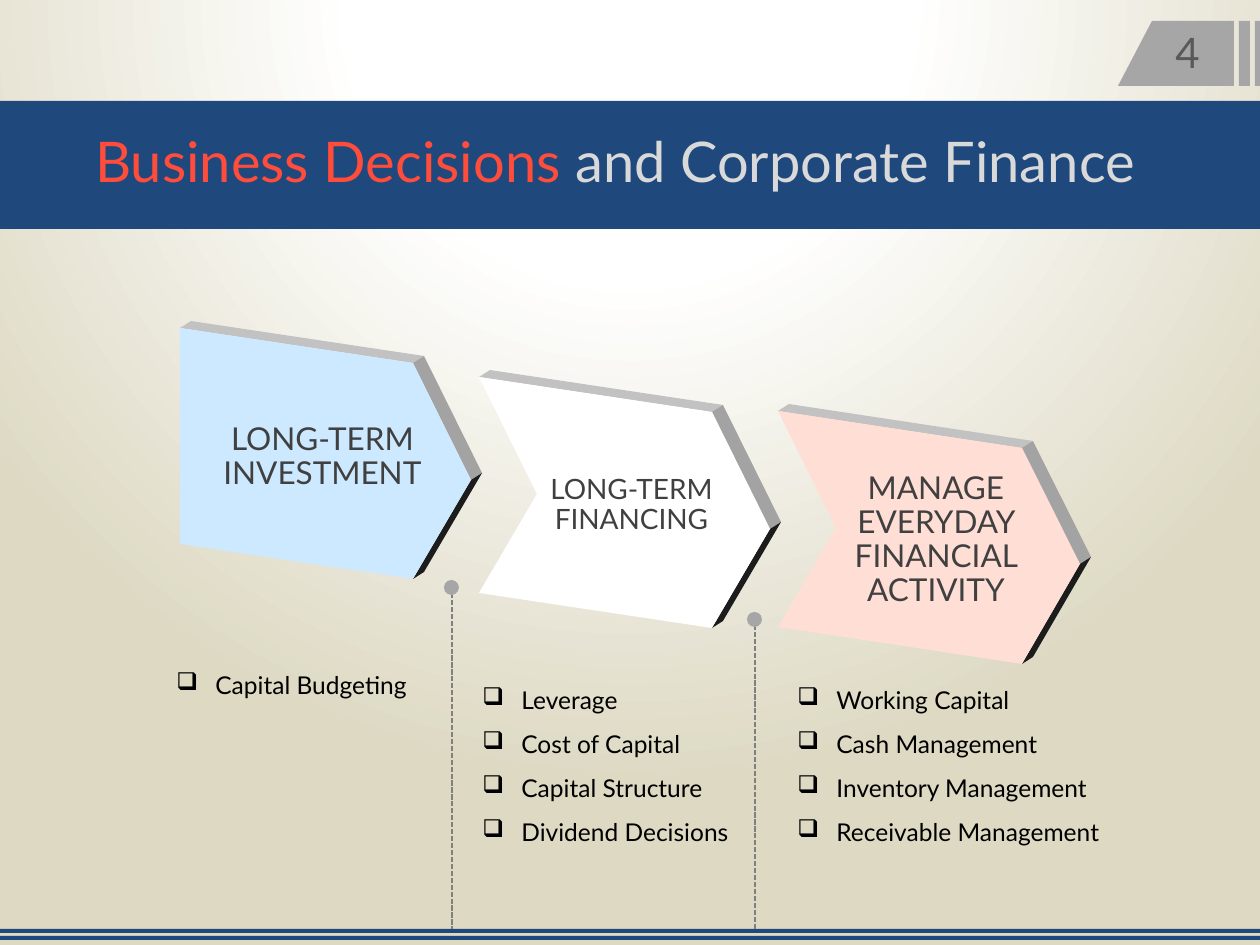
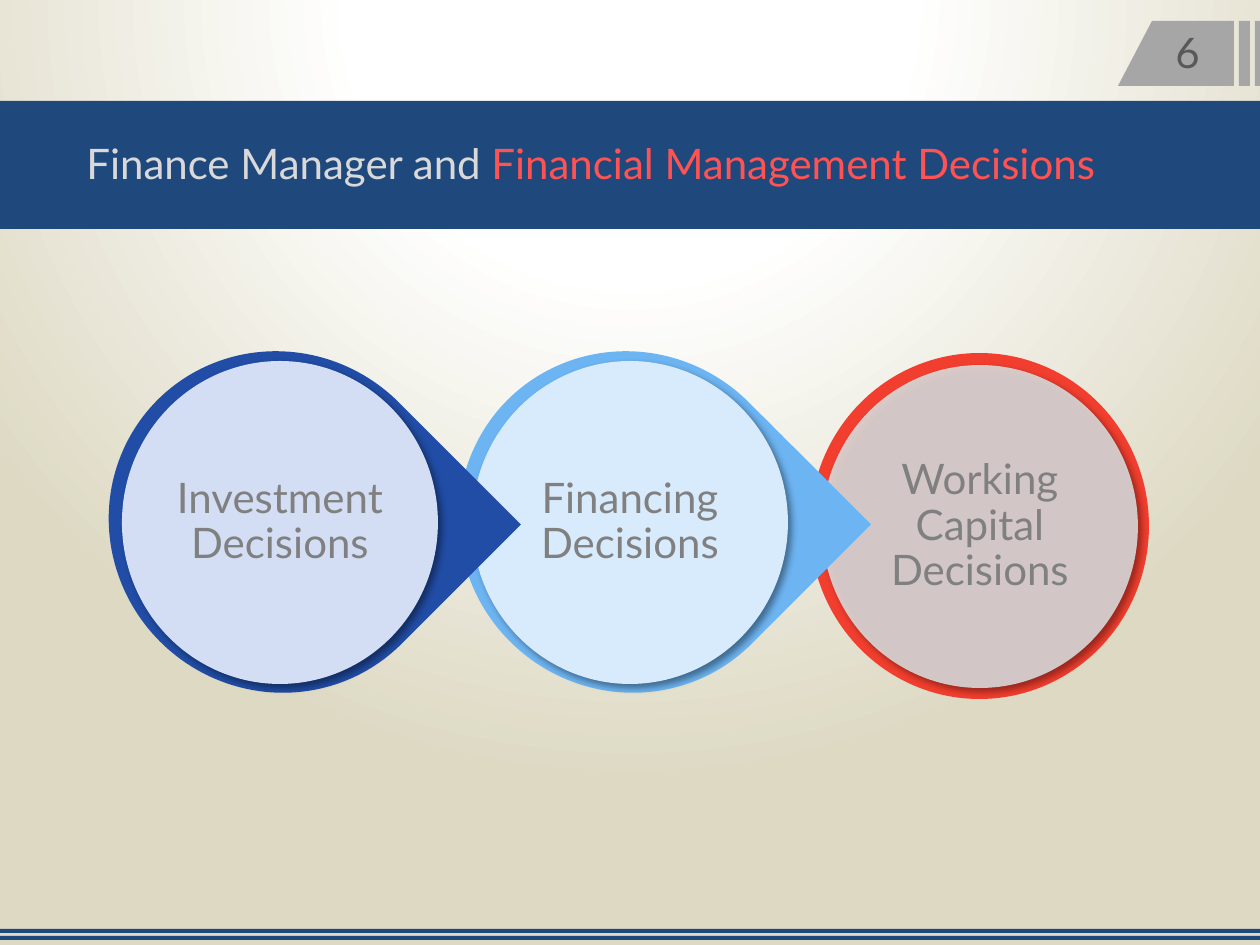
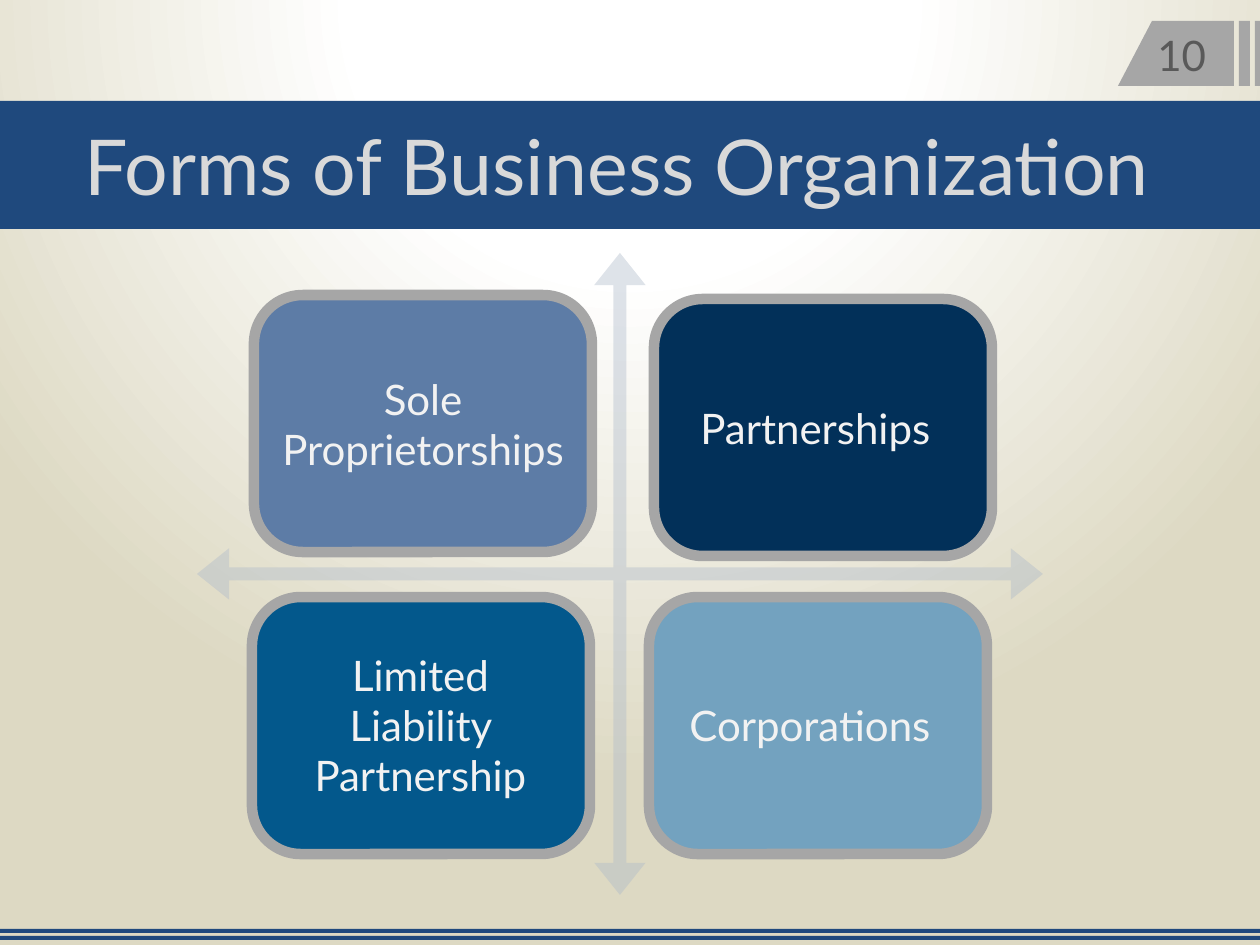
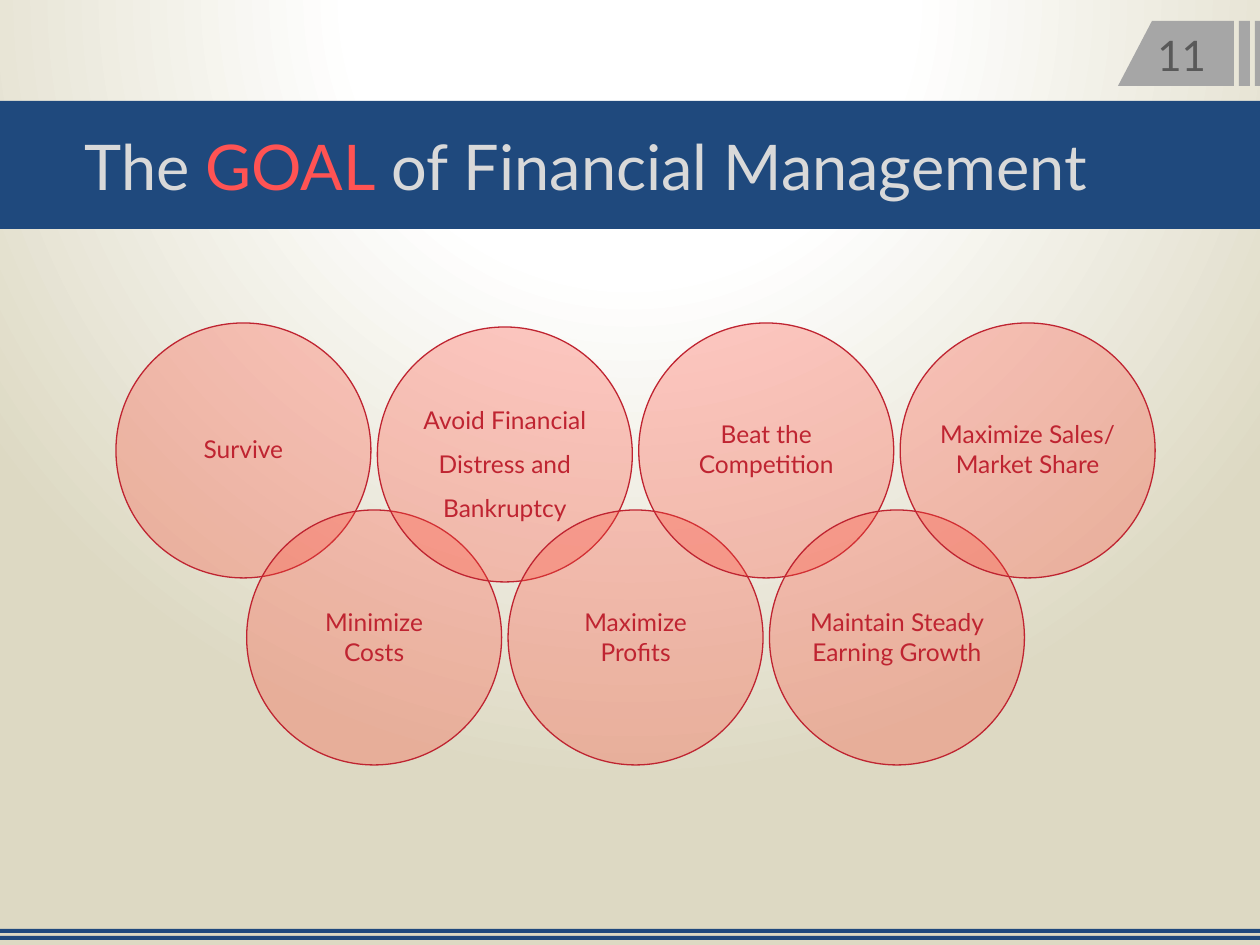
from lxml import etree
from pptx import Presentation
from pptx import util as u
from pptx.dml.color import RGBColor
from pptx.enum import dml, shapes, text
from pptx.oxml import parse_xml
from pptx.oxml.ns import qn

SCALE = 914400 / 126  # EMU in one px
FONT = "Lato"
NS = 'xmlns:a="http://schemas.openxmlformats.org/drawingml/2006/main"'
KIND = shapes.MSO_SHAPE
LEFT, MID = text.PP_ALIGN.LEFT, text.PP_ALIGN.CENTER

INK = {
    "navy": "1F497D", "grey": "A6A6A6", "pale": "D9D9D9", "sand": "DDD9C3",
    "white": "FFFFFF", "black": "000000", "dark": "404040", "page": "595959",
    "mid": "808080", "coral": "FF4C3B", "rose": "FF5353", "wine": "BF2431",
    "top": "C2C2C2", "side": "A3A3A3", "under": "1C1C1C",
    "ice": "CDE9FF", "blush": "FFDED6",
    "red": "F23E2E", "sky": "6DB4F2", "blue": "214DA6",
    "mist": "D8EBFC", "lilac": "D3DEF5",
    "steel": "ADB9CA", "snow": "F2F2F2", "slate": "5D7CA6",
    "deep": "023059", "sea": "03588C", "pool": "73A2BF",
}


def px(n):
    return u.Emu(round(n * SCALE))


def rgb(name):
    return RGBColor.from_string(INK[name])


# ---- Basic elements ----

def paint(shape, fill, line=None, width=0, alpha=None):
    shape.shadow.inherit = False
    shape.fill.solid()
    shape.fill.fore_color.rgb = rgb(fill)
    if line:
        shape.line.color.rgb = rgb(line)
        shape.line.width = u.Pt(width)
    else:
        shape.line.fill.background()
    if alpha:
        clr = shape.element.xpath("./p:spPr/a:solidFill/a:srgbClr")[0]
        etree.SubElement(clr, qn("a:alpha")).set("val", str(alpha * 1000))
    return shape


def form(slide, kind, box, fill, line=None, width=0, alpha=None):
    shape = slide.shapes.add_shape(kind, *map(px, box))
    return paint(shape, fill, line, width, alpha)


def poly(slide, loops, fill):
    """One freeform made of closed loops of px points."""
    pen = slide.shapes.build_freeform(*loops[0][0], scale=SCALE)
    for i, loop in enumerate(loops):
        if i:
            pen.move_to(*loop[0])
        pen.add_line_segments(loop[1:], close=True)
    return paint(pen.convert_to_shape(), fill)


def style(item, size, ink):
    item.font.name = FONT
    item.font.size = u.Pt(size)
    item.font.color.rgb = rgb(ink)


def inset(frame, left, top, right, low):
    frame.margin_left, frame.margin_top = px(left), px(top)
    frame.margin_right, frame.margin_bottom = px(right), px(low)


def fill_in(shape, words, size, ink, pad):
    """Centred words inside a shape."""
    frame = shape.text_frame
    frame.word_wrap = True
    frame.vertical_anchor = text.MSO_ANCHOR.MIDDLE
    inset(frame, *pad)
    frame.text = words
    para = frame.paragraphs[0]
    para.alignment, para.line_spacing = MID, 0.9
    style(para.runs[0], size, ink)


def frame_at(slide, box):
    frame = slide.shapes.add_textbox(*map(px, box)).text_frame
    frame.word_wrap = True
    frame.auto_size = text.MSO_AUTO_SIZE.SHAPE_TO_FIT_TEXT
    return frame


def label(slide, box, words, size, ink, align=LEFT, gap=None):
    frame = frame_at(slide, box)
    frame.text = words
    para = frame.paragraphs[0]
    para.alignment = align
    if gap:
        para.line_spacing = gap
    style(para.runs[0], size, ink)


def bullets(slide, box, items, gap=None):
    frame = frame_at(slide, box)
    frame.text = "\n".join(items)
    for para in frame.paragraphs:
        if gap:
            para.line_spacing = gap
        ppr = para._p.get_or_add_pPr()
        ppr.set("marL", str(px(39)))
        ppr.set("indent", str(-px(39)))
        etree.SubElement(ppr, qn("a:buChar")).set("char", "❑")
        style(para.runs[0], 14, "black")


# ---- Shared parts ----

def backdrop(deck):
    master = deck.slide_master
    master.background.fill.gradient()
    old = master.element.xpath(".//p:bg//a:gradFill")[0]
    stops = "".join(
        f'<a:gs pos="{pos}"><a:srgbClr val="{INK[ink]}"/></a:gs>'
        for pos, ink in ((0, "white"), (35000, "white"), (100000, "sand")))
    new = parse_xml(
        f'<a:gradFill {NS} rotWithShape="1"><a:gsLst>{stops}</a:gsLst>'
        '<a:path path="circle"><a:fillToRect l="50000" t="-80000" '
        'r="50000" b="180000"/></a:path></a:gradFill>')
    old.getparent().replace(old, new)


def bar(left, top, right, low, slant=0):
    return [(left + slant, top), (right, top), (right, low), (left, low)]


def page(deck, num, box, size, parts):
    """A slide with title band, foot rules and number tag."""
    slide = deck.slides.add_slide(deck.slide_layouts[6])
    form(slide, KIND.RECTANGLE, (0, 101, 1260, 128), "navy")
    poly(slide, [bar(0, y, 1260, y + 4) for y in (929, 936)], "navy")
    poly(slide, [bar(1255, 21, 1260, 86), bar(1239, 21, 1250, 86),
                 bar(1118, 21, 1234, 86, 34)], "grey")
    para = frame_at(slide, box).paragraphs[0]
    for words, ink in parts:
        run = para.add_run()
        run.text = words
        style(run, size, ink)
    spot = (1163, 20, 57, 63) if num < 10 else (1145, 23, 86, 63)
    label(slide, spot, str(num), 24, "page")
    return slide


# ---- Parts of single slides ----

def arrow(slide, x, y, wide, fill, words, size, pad, notch):
    """A slanted block arrow with three visible edges."""
    high, tip, slope = 216, 58, 0.15
    neck = wide - tip

    def spot(dx, dy, back=0):
        return x + dx + 11 * back, round(y + dy + slope * dx) - 7 * back

    edge = [(0, 0), (neck, 0), (wide, high // 2), (neck, high)]
    for a, b, ink in zip(edge, edge[1:], ("top", "side", "under")):
        poly(slide, [[spot(*a), spot(*b), spot(*b, 1), spot(*a, 1)]], ink)
    face = edge + [(0, high)] + ([(tip, high // 2)] if notch else [])
    front = poly(slide, [[spot(*p) for p in face]], fill)
    fill_in(front, words, size, "dark", pad)


def divider(slide, x, top):
    line = slide.shapes.add_connector(
        shapes.MSO_CONNECTOR.STRAIGHT, px(x), px(top), px(x), px(929))
    line.line.color.rgb = rgb("mid")
    line.line.width = u.Pt(1)
    line.line.dash_style = dml.MSO_LINE.SQUARE_DOT
    etree.SubElement(line.element.spPr, qn("a:effectLst"))
    form(slide, KIND.OVAL, (x - 8, top - 6, 15, 15), "grey")


def disc(slide, box, fill, words, alpha=None):
    """A round plate with a soft shadow."""
    shape = form(slide, KIND.OVAL, box, fill, alpha=alpha)
    shape.element.spPr.find(qn("a:effectLst")).append(parse_xml(
        f'<a:outerShdw {NS} blurRad="50800" dist="38100" dir="2700000">'
        f'<a:srgbClr val="{INK["black"]}"><a:alpha val="40000"/></a:srgbClr>'
        '</a:outerShdw>'))
    fill_in(shape, words, 24, "mid", (0, 0, 0, 0))


# ---- Slides ----

def choices(deck):
    slide = page(deck, 4, (83, 120, 1135, 81), 32,
                 [("Business Decisions ", "coral"),
                  ("and Corporate Finance", "pale")])
    pad = (60, 20, 46, 14)
    arrow(slide, 180, 328, 291, "ice", "LONG-TERM INVESTMENT", 18,
          (30, 26, 36, 18), False)
    arrow(slide, 479, 377, 291, "white", "LONG-TERM FINANCING", 16, pad, True)
    arrow(slide, 778, 411, 302, "blush",
          "MANAGE EVERYDAY FINANCIAL ACTIVITY", 18, pad, True)
    bullets(slide, (164, 664, 275, 43), ["Capital Budgeting"])
    bullets(slide, (470, 664, 278, 185),
            ["Leverage", "Cost of Capital", "Capital Structure",
             "Dividend Decisions"], 1.5)
    bullets(slide, (785, 664, 340, 185),
            ["Working Capital", "Cash Management", "Inventory Management",
             "Receivable Management"], 1.5)
    divider(slide, 452, 586)
    divider(slide, 755, 618)


def manager(deck):
    slide = page(deck, 6, (74, 131, 1111, 63), 24,
                 [("Finance Manager and ", "pale"),
                  ("Financial Management Decisions", "rose")])
    form(slide, KIND.OVAL, (810, 353, 339, 346), "red")
    disc(slide, (822, 365, 316, 323), "pale", "Working Capital Decisions", 90)
    for x, ring, plate, words in (
            (457, "sky", "mist", "Financing Decisions"),
            (107, "blue", "lilac", "Investment Decisions")):
        drop = form(slide, KIND.TEAR, (x, 353, 345, 338), ring)
        drop.rotation = 45
        disc(slide, (x + 15, 361, 316, 323), plate, words)


def kinds(deck):
    slide = page(deck, 10, (72, 112, 1134, 106), 44,
                 [("Forms of Business Organization", "pale")])
    cross = form(slide, KIND.QUAD_ARROW, (197, 253, 846, 642), "steel",
                 alpha=40)
    for i, val in enumerate((0.02, 0.04, 0.05)):
        cross.adjustments[i] = val
    for x, y, ink in ((254, 295, "slate"), (654, 299, "deep"),
                      (252, 597, "sea"), (649, 597, "pool")):
        card = form(slide, KIND.ROUNDED_RECTANGLE, (x, y, 338, 257), ink,
                    "grey", 6)
        card.adjustments[0] = 0.19
    for box, words, align in (
            ((256, 367, 334, 115), "Sole Proprietorships", MID),
            ((688, 396, 270, 63), "Partnerships", LEFT),
            ((289, 643, 263, 165), "Limited Liability Partnership", MID),
            ((677, 693, 285, 63), "Corporations", LEFT)):
        label(slide, box, words, 24, "snow", align)


def goal(deck):
    slide = page(deck, 11, (72, 121, 1128, 89), 36,
                 [("The ", "pale"), ("GOAL", "rose"),
                  (" of Financial Management", "pale")])
    # Two interlocking rows: words, circle top, label top, width, height
    goals = [
        ("Survive", 323, 428, 139, 43),
        ("Minimize Costs", 510, 601, 163, 72),
        ("Avoid Financial Distress and Bankruptcy", 327, 384, 237, 140),
        ("Maximize Profits", 510, 601, 168, 72),
        ("Beat the Competition", 323, 413, 236, 72),
        ("Maintain Steady Earning Growth", 510, 601, 255, 72),
        ("Maximize Sales/ Market Share", 323, 413, 252, 72),
    ]
    size, step = 255, 130.7
    for i, (_, top, *_) in enumerate(goals):
        form(slide, KIND.OVAL, (116 + step * i, top, size, size), "coral",
             "wine", 0.75, 30)
    for i, (words, _, y, wide, high) in enumerate(goals):
        x = 116 + step * i + (size - wide) / 2
        label(slide, (x, y, wide, high), words, 14, "wine", MID,
              1.5 if high > 72 else None)


def main():
    deck = Presentation()
    deck.slide_width, deck.slide_height = px(1260), px(945)
    backdrop(deck)
    for build in (choices, manager, kinds, goal):
        build(deck)
    deck.save("out.pptx")


if __name__ == "__main__":
    main()
